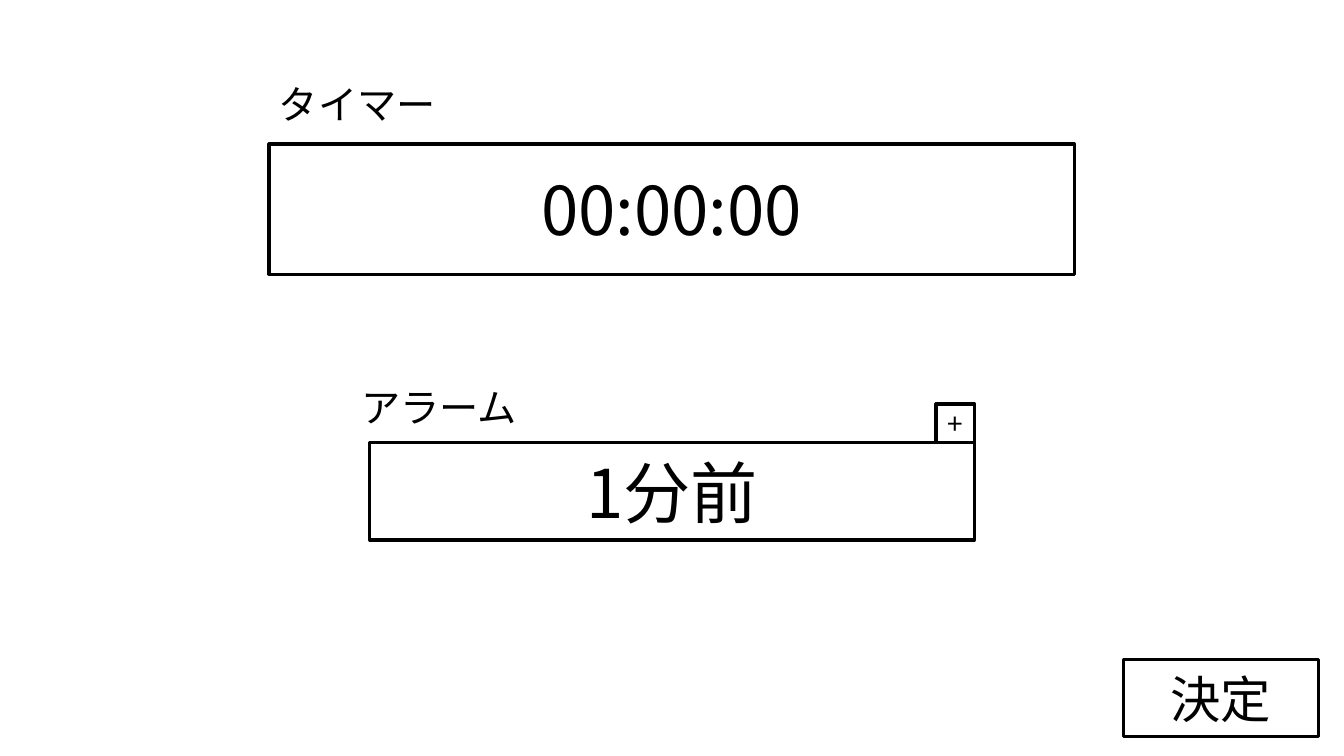
"""Build a timer settings screen with an alarm and a confirm button."""
from dataclasses import dataclass

from lxml import etree
from pptx import Presentation
from pptx import util as u
from pptx.dml import color
from pptx.enum import shapes, text
from pptx.oxml import ns


@dataclass(frozen=True)
class Theme:
    font: str = "Noto Sans CJK JP"
    ink: color.RGBColor = color.RGBColor(0, 0, 0)
    paper: color.RGBColor = color.RGBColor(255, 255, 255)
    border: float = 2.25
    value: int = 48
    button: int = 36
    label: int = 28
    plus: int = 20


class Screen:
    def __init__(self, slide, theme):
        self.slide = slide
        self.theme = theme

    def wording(self, frame, words, size, align):
        frame.text = words
        frame.word_wrap = True
        paragraph = frame.paragraphs[0]
        paragraph.alignment = align
        for run in paragraph.runs:
            run.font.size = u.Pt(size)
            run.font.name = self.theme.font
            run.font.color.rgb = self.theme.ink
            east_asian = etree.SubElement(run.font._element, ns.qn("a:ea"))
            east_asian.set("typeface", self.theme.font)

    def box(self, words, left, top, width, height, size):
        area = map(u.Cm, (left, top, width, height))
        field = self.slide.shapes.add_shape(shapes.MSO_SHAPE.RECTANGLE, *area)
        field.shadow.inherit = False
        field.fill.solid()
        field.fill.fore_color.rgb = self.theme.paper
        field.line.color.rgb = self.theme.ink
        field.line.width = u.Pt(self.theme.border)
        field.text_frame.vertical_anchor = text.MSO_ANCHOR.MIDDLE
        self.wording(field.text_frame, words, size, text.PP_ALIGN.CENTER)

    def label(self, words, left, top):
        area = map(u.Cm, (left, top, 4.75, 1.45))
        caption = self.slide.shapes.add_textbox(*area)
        self.wording(caption.text_frame, words, self.theme.label, text.PP_ALIGN.LEFT)
        caption.text_frame.auto_size = text.MSO_AUTO_SIZE.SHAPE_TO_FIT_TEXT


theme = Theme()
deck = Presentation()
deck.slide_width, deck.slide_height = u.Cm(33.87), u.Cm(19.05)
screen = Screen(deck.slides.add_slide(deck.slide_layouts[6]), theme)

timer_left = 6.78
alarm_left, alarm_top, alarm_width = 9.32, 11.15, 15.24
plus_side = 0.97

screen.box("00:00:00", timer_left, 3.63, 20.29, 3.28, theme.value)
screen.box("1分前", alarm_left, alarm_top, alarm_width, 2.46, theme.value)
screen.label("アラーム", 8.86, 9.53)
screen.label("タイマー", timer_left, 1.91)
screen.box("+", alarm_left + alarm_width - plus_side, alarm_top - plus_side,
           plus_side, plus_side, theme.plus)
screen.box("決定", 28.32, 16.61, 4.9, 1.96, theme.button)

deck.save("out.pptx")
